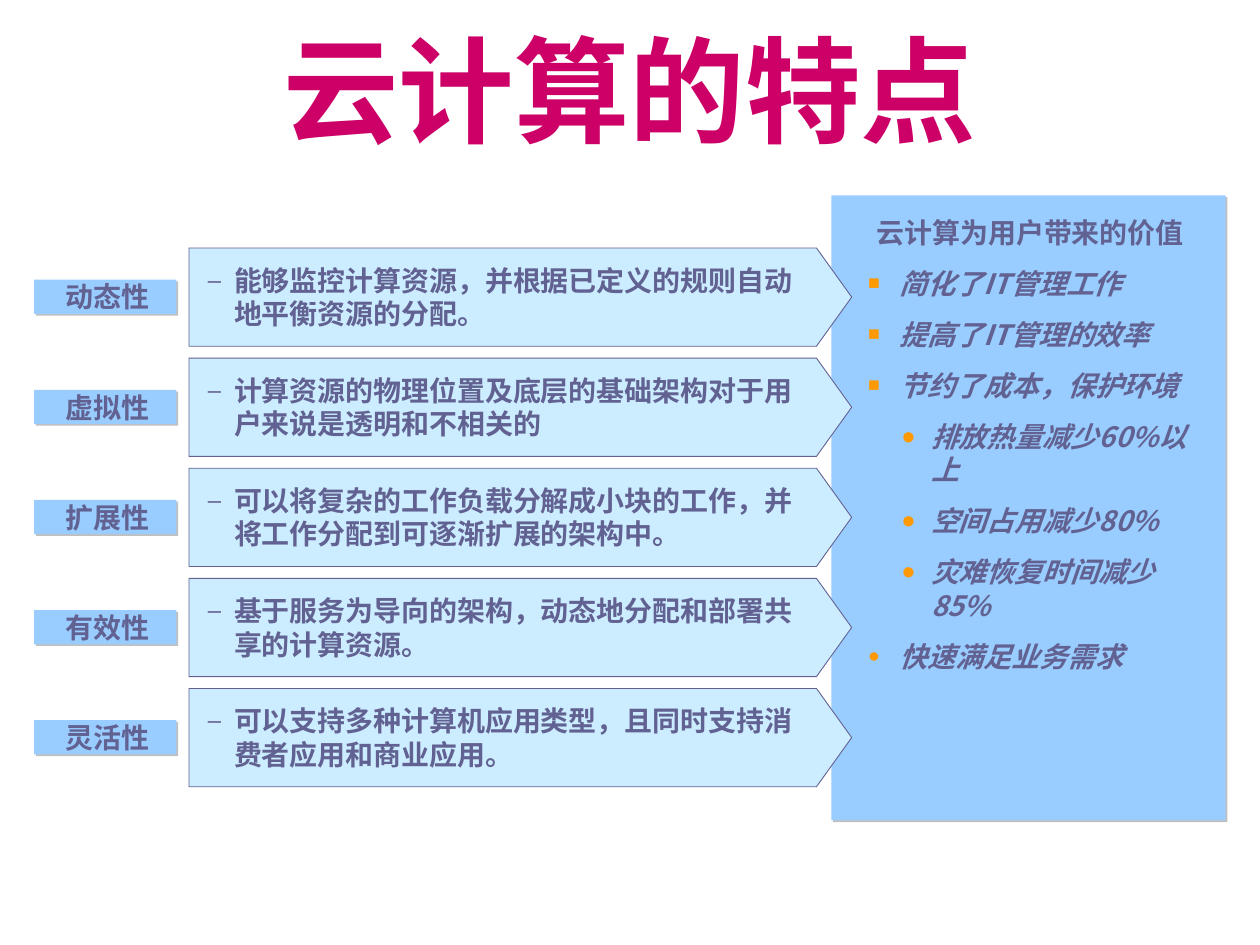
from lxml.etree import SubElement
from pptx import Presentation
from pptx.dml.color import RGBColor
from pptx.enum.shapes import MSO_SHAPE
from pptx.enum.text import MSO_ANCHOR, PP_ALIGN
from pptx.oxml.ns import qn
from pptx.util import Cm, Pt

COLORS = {
    "title": "CC0066",
    "text": "626292",
    "panel": "99CCFF",
    "arrow": "CCECFF",
    "shadow": "C0C0C0",
    "bullet": "FF9900",
}
FEATURES = [
    ("动态性", "能够监控计算资源，并根据已定义的规则自动地平衡资源的分配。"),
    ("虚拟性", "计算资源的物理位置及底层的基础架构对于用户来说是透明和不相关的"),
    ("扩展性", "可以将复杂的工作负载分解成小块的工作，并将工作分配到可逐渐扩展的架构中。"),
    ("有效性", "基于服务为导向的架构，动态地分配和部署共享的计算资源。"),
    ("灵活性", "可以支持多种计算机应用类型，且同时支持消费者应用和商业应用。"),
]
SQUARE = ("■", "bullet", 70, 0.64, 0.64)
DOT = ("●", "bullet", 85, 1.27, 0.6)
SMALL_DOT = ("●", "bullet", 70, 0.64, 0.64)
DASH = ("–", "text", 85, 0.53, 0.53)
VALUES = [
    ("云计算为用户带来的价值", None, 0),
    ("简化了IT管理工作", SQUARE, 0),
    ("提高了IT管理的效率", SQUARE, 0),
    ("节约了成本，保护环境", SQUARE, 0),
    ("排放热量减少60%以上", DOT, 1),
    ("空间占用减少80%", DOT, 1),
    ("灾难恢复时间减少85%", DOT, 1),
    ("快速满足业务需求", SMALL_DOT, 0),
]

presentation = Presentation()
presentation.slide_width = Cm(25.4)
presentation.slide_height = Cm(19.05)
slide = presentation.slides.add_slide(presentation.slide_layouts[6])


def add_panel(left, top, width, height):
    shape = slide.shapes.add_shape(
        MSO_SHAPE.RECTANGLE, Cm(left), Cm(top), Cm(width), Cm(height))
    shape.fill.solid()
    shape.fill.fore_color.rgb = RGBColor.from_string(COLORS["panel"])
    shape.line.fill.background()
    shape.shadow.inherit = False
    effects = shape._element.spPr.find(qn("a:effectLst"))
    shadow = SubElement(effects, qn("a:outerShdw"), dist=str(Pt(1.4)),
                        dir="2700000", algn="ctr", rotWithShape="0")
    SubElement(shadow, qn("a:srgbClr"), val=COLORS["shadow"])


def add_text(box, paragraphs, size=16, color="text", font="Noto Sans CJK SC",
             margins=(0, 0), anchor=MSO_ANCHOR.MIDDLE, line_spacing=Pt(19.1)):
    left, top, width, height = box
    text_box = slide.shapes.add_textbox(Cm(left), Cm(top), Cm(width), Cm(height))
    text_frame = text_box.text_frame
    text_frame.word_wrap = True
    text_frame.vertical_anchor = anchor
    text_frame.margin_left = text_frame.margin_right = Cm(margins[0])
    text_frame.margin_top = text_frame.margin_bottom = Cm(margins[1])
    text_frame.text = "\n".join(text for text, bullet, level in paragraphs)
    for index, paragraph in enumerate(text_frame.paragraphs):
        text, bullet, level = paragraphs[index]
        paragraph.level = level
        paragraph.alignment = PP_ALIGN.LEFT if bullet else PP_ALIGN.CENTER
        paragraph.line_spacing = line_spacing
        if index:
            paragraph.space_before = Pt(10)
        if bullet:
            character, bullet_color, percent, margin, hanging = bullet
            properties = paragraph._p.get_or_add_pPr()
            properties.set("marL", str(Cm(margin)))
            properties.set("indent", str(-Cm(hanging)))
            fill = SubElement(properties, qn("a:buClr"))
            SubElement(fill, qn("a:srgbClr"), val=COLORS[bullet_color])
            SubElement(properties, qn("a:buSzPct"), val=str(percent * 1000))
            SubElement(properties, qn("a:buFont"), typeface="Arial")
            SubElement(properties, qn("a:buChar"), char=character)
        for run in paragraph.runs:
            run.font.size = Pt(size)
            run.font.bold = True
            run.font.italic = index > 0
            run.font.color.rgb = RGBColor.from_string(COLORS[color])
            run.font.name = font
            SubElement(run.font._element, qn("a:ea"), typeface="Noto Sans CJK SC")


add_text((1.27, 0.2, 22.86, 3.18), [("云计算的特点", None, 0)],
         size=66, color="title", font="Arial", line_spacing=1.0)
add_panel(16.76, 3.94, 7.95, 12.6)

for row, (label, description) in enumerate(FEATURES):
    top = 5 + 2.22 * row
    builder = slide.shapes.build_freeform(Cm(3.81), Cm(top))
    builder.add_line_segments([
        (Cm(16.46), Cm(top)),
        (Cm(17.17), Cm(top + 0.99)),
        (Cm(16.46), Cm(top + 1.98)),
        (Cm(3.81), Cm(top + 1.98)),
    ])
    arrow = builder.convert_to_shape()
    arrow.shadow.inherit = False
    arrow.fill.solid()
    arrow.fill.fore_color.rgb = RGBColor.from_string(COLORS["arrow"])
    arrow.line.color.rgb = RGBColor.from_string(COLORS["text"])
    arrow.line.width = Pt(0.5)
    add_text((4.19, top + 0.31, 12.27, 1.35), [(description, DASH, 1)])
    add_panel(0.69, top + 0.64, 2.87, 0.69)
    add_text((0.94, top + 0.64, 2.46, 0.69), [(label, None, 0)])

add_text((17.25, 4.22, 7.04, 9.5), VALUES, margins=(0.25, 0.13),
         anchor=MSO_ANCHOR.TOP)

presentation.save("out.pptx")
